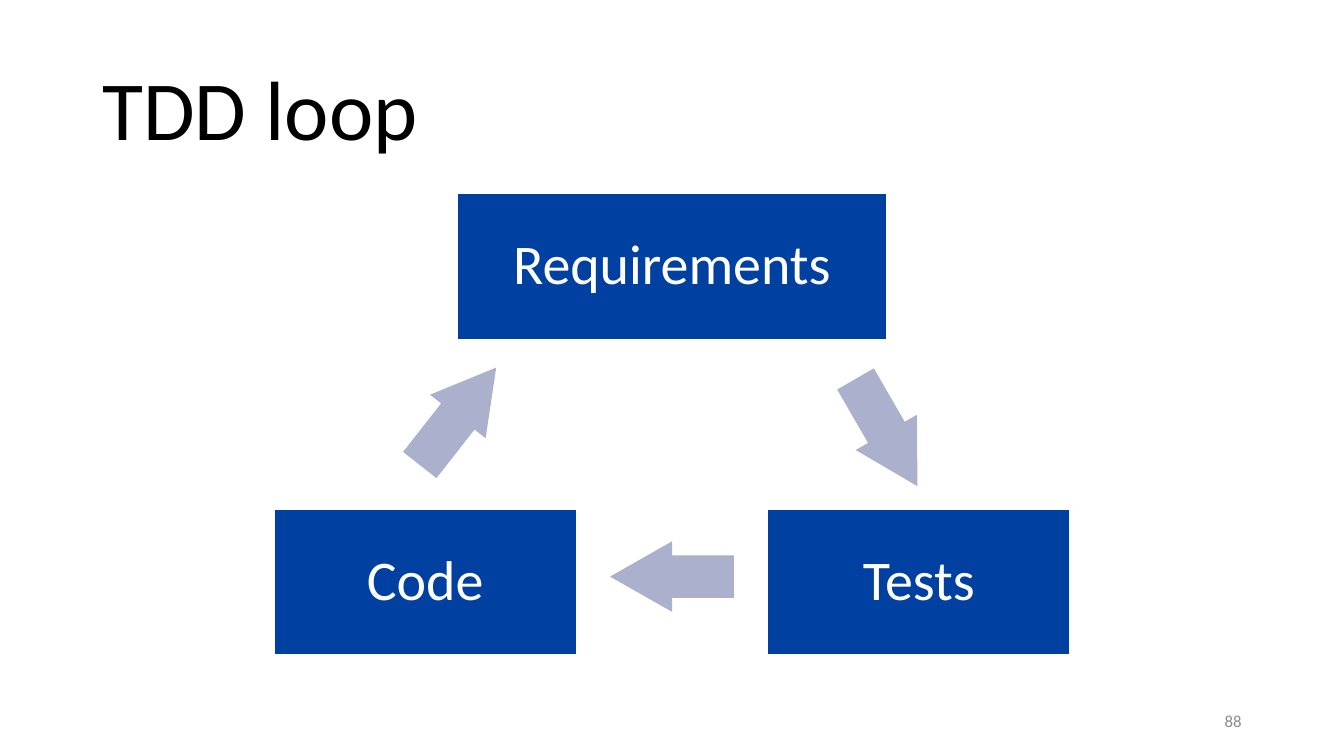
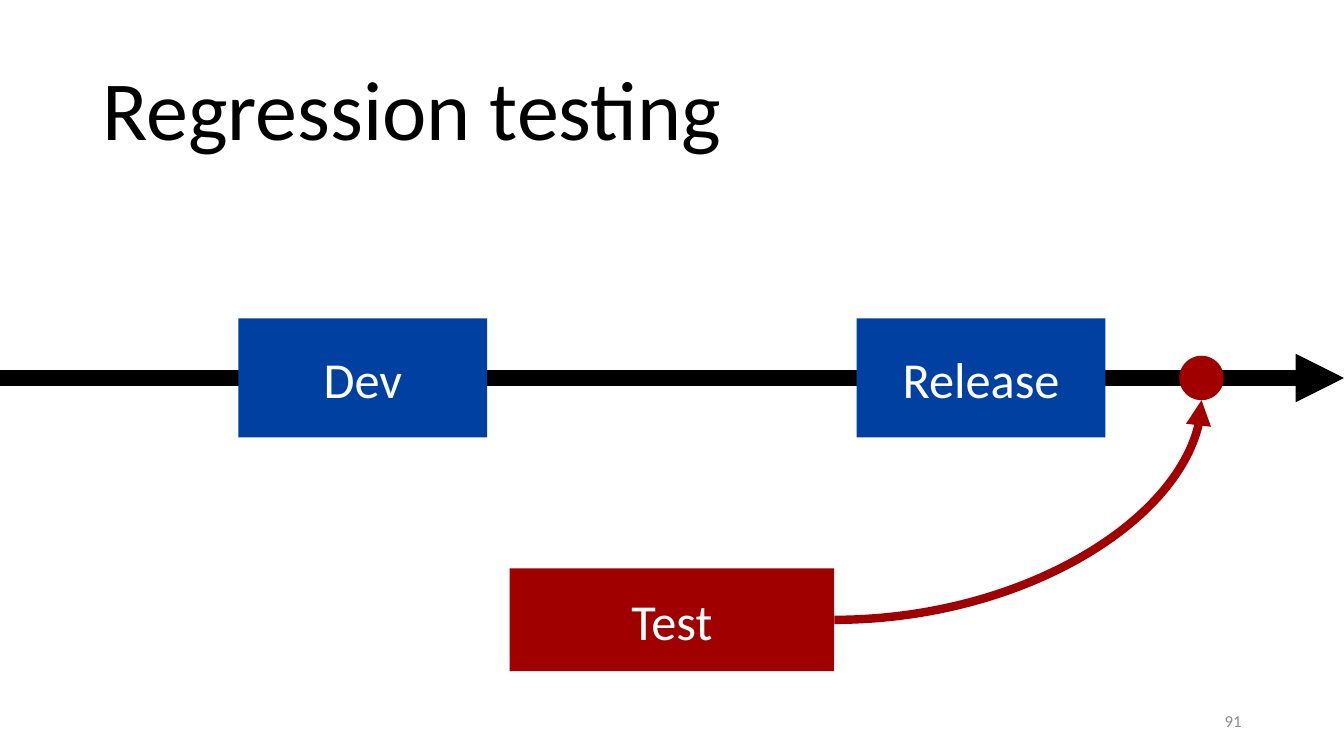
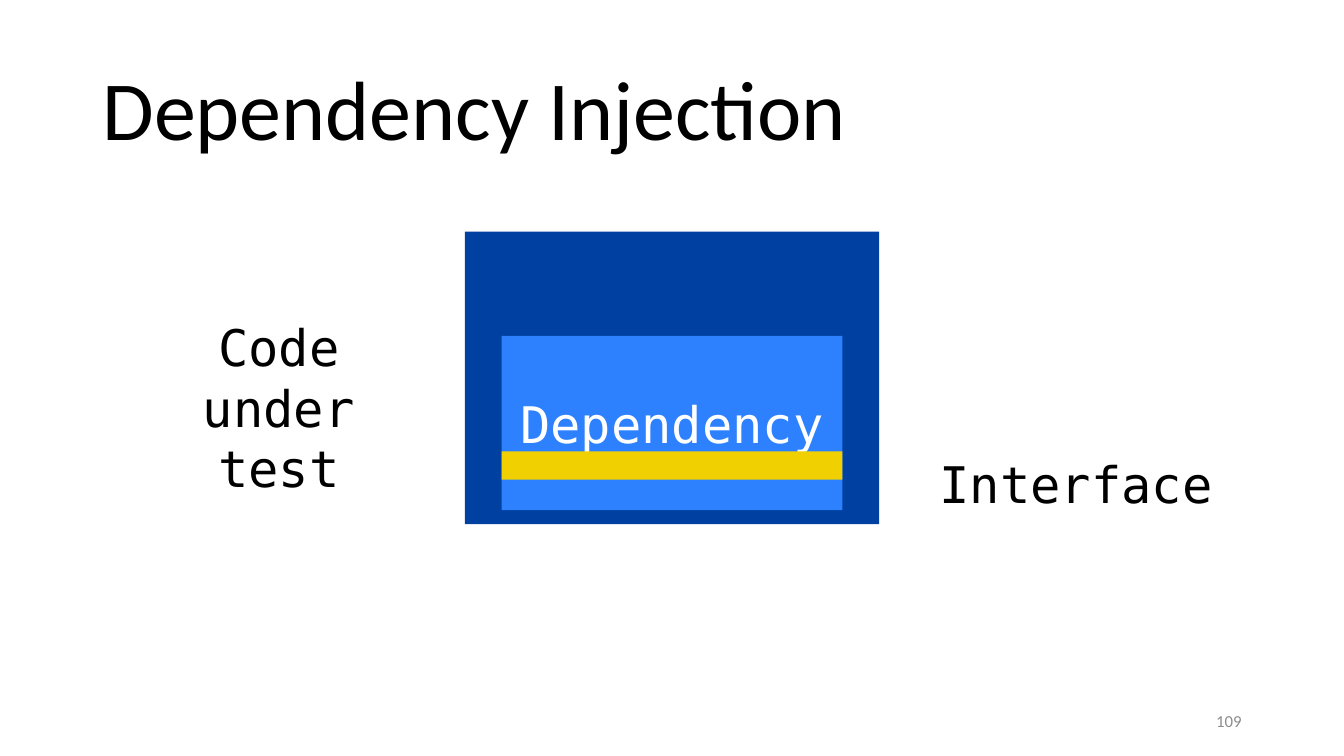
from lxml import etree
from pptx import Presentation
from pptx.dml.color import RGBColor
from pptx.enum import shapes, text
from pptx.oxml.ns import qn
from pptx.util import Cm, Pt

BLUE = RGBColor(0x00, 0x40, 0xA0)
LIGHT_BLUE = RGBColor(0x2D, 0x81, 0xFF)
LAVENDER = RGBColor(0xAB, 0xB0, 0xCD)
RED = RGBColor(0xA0, 0x00, 0x00)
YELLOW = RGBColor(0xF0, 0xD0, 0x00)
GREY = RGBColor(0x8C, 0x8C, 0x8C)
BLACK = RGBColor(0x00, 0x00, 0x00)
WHITE = RGBColor(0xFF, 0xFF, 0xFF)

SANS, MONO = "Calibri", "DejaVu Sans Mono"
WIDTH, HEIGHT = 33.87, 19.05
CENTRE, MIDDLE = WIDTH / 2, HEIGHT / 2

LOOP_STEPS = [
    ("Requirements", CENTRE, 6.72, 10.82),
    ("Tests", CENTRE + 6.22, 14.67, 7.62),
    ("Code", CENTRE - 6.22, 14.67, 7.62),
]
LOOP_ARROWS = [(CENTRE, 14.53, 0), (11.54, 10.49, 128.1), (22.34, 10.9, 240)]
MILESTONES = [("Dev", CENTRE - 7.79), ("Release", CENTRE + 7.79)]
TEST = ("Test", CENTRE, 15.62, 8.18, 2.59)
REGRESSION = (30.28, MIDDLE, 1.12)
CODE_LAYERS = [
    ("", MIDDLE, 10.44, 7.37, BLUE),
    ("Dependency", 10.66, 8.59, 4.39, LIGHT_BLUE),
    ("", 11.73, 8.59, 0.71, YELLOW),
]
CODE_LABELS = [("Code under\vtest", 3.15, 7.85, 3.33), ("Interface", 23.24, 11.3, 1.8)]


def write(frame, words, size, colour, font=SANS, align=text.PP_ALIGN.CENTER,
          anchor=text.MSO_ANCHOR.MIDDLE, spacing=None):
    frame.text = words
    frame.word_wrap = True
    frame.vertical_anchor = anchor
    paragraph = frame.paragraphs[0]
    paragraph.alignment = align
    paragraph.line_spacing = spacing
    for run in paragraph.runs:
        run.font.name = font
        run.font.size = Pt(size)
        run.font.color.rgb = colour


def add_label(slide, left, top, width, height, words, size, colour, **style):
    label = slide.shapes.add_textbox(Cm(left), Cm(top), Cm(width), Cm(height))
    write(label.text_frame, words, size, colour, **style)
    return label


def add_centred(slide, kind, x, y, width, height, fill):
    shape = slide.shapes.add_shape(
        kind, Cm(x - width / 2), Cm(y - height / 2), Cm(width), Cm(height))
    shape.shadow.inherit = False
    shape.fill.solid()
    shape.fill.fore_color.rgb = fill
    shape.line.fill.background()
    return shape


def add_box(slide, words, x, y, width, height, fill, size=36, font=SANS, spacing=None):
    box = add_centred(slide, shapes.MSO_SHAPE.RECTANGLE, x, y, width, height, fill)
    if words:
        write(box.text_frame, words, size, WHITE, font=font, spacing=spacing)
    return box


def add_arrow(slide, kind, start, end, colour, weight):
    arrow = slide.shapes.add_connector(kind, *(Cm(v) for v in start + end))
    arrow.line.color.rgb = colour
    arrow.line.width = Pt(weight)
    etree.SubElement(arrow.line._get_or_add_ln(), qn("a:tailEnd"), type="triangle")
    etree.SubElement(arrow._element.spPr, qn("a:effectLst"))
    return arrow


def add_slide(deck, title, number):
    slide = deck.slides.add_slide(deck.slide_layouts[6])
    add_label(slide, 2.33, 1.01, 29.21, 3.68, title, 60, BLACK,
              align=text.PP_ALIGN.LEFT, spacing=0.9)
    add_label(slide, 23.92, 17.66, 7.62, 1.01, str(number), 12, GREY,
              align=text.PP_ALIGN.RIGHT)
    return slide


def build_loop(deck):
    slide = add_slide(deck, "TDD loop", 88)
    for step, x, y, width in LOOP_STEPS:
        box = add_box(slide, step, x, y, width, 3.68, BLUE, size=40, spacing=0.9)
        box.line.color.rgb = WHITE
        box.line.width = Pt(1)
    for x, y, angle in LOOP_ARROWS:
        arrow = add_centred(slide, shapes.MSO_SHAPE.LEFT_ARROW, x, y, 3.12, 1.78, LAVENDER)
        arrow.adjustments[0] = 0.6
        arrow.adjustments[1] = 0.88
        arrow.rotation = angle


def build_regression(deck):
    slide = add_slide(deck, "Regression testing", 91)
    add_arrow(slide, shapes.MSO_CONNECTOR.STRAIGHT, (0, MIDDLE), (WIDTH, MIDDLE), BLACK, 11.5)
    for milestone, x in MILESTONES:
        add_box(slide, milestone, x, MIDDLE, 6.27, 3, BLUE)
    add_box(slide, *TEST, RED)
    x, y, size = REGRESSION
    add_centred(slide, shapes.MSO_SHAPE.OVAL, x, y, size, size, RED)
    _, test_x, test_y, test_width, _ = TEST
    curve = add_arrow(slide, shapes.MSO_CONNECTOR.CURVE,
                      (test_x + test_width / 2, test_y), (x, y + size / 2), RED, 6)
    curve._element.spPr.find(qn("a:prstGeom")).set("prst", "curvedConnector2")


def build_injection(deck):
    slide = add_slide(deck, "Dependency Injection", 109)
    for words, y, width, height, fill in CODE_LAYERS:
        add_box(slide, words, CENTRE, y, width, height, fill, font=MONO)
    for words, left, top, height in CODE_LABELS:
        label = add_label(slide, left, top, 7.75, height, words, 36, BLACK,
                          font=MONO, anchor=text.MSO_ANCHOR.TOP)
        label.text_frame.auto_size = text.MSO_AUTO_SIZE.SHAPE_TO_FIT_TEXT


def main():
    deck = Presentation()
    deck.slide_width, deck.slide_height = Cm(WIDTH), Cm(HEIGHT)
    build_loop(deck)
    build_regression(deck)
    build_injection(deck)
    deck.save("out.pptx")


if __name__ == "__main__":
    main()
